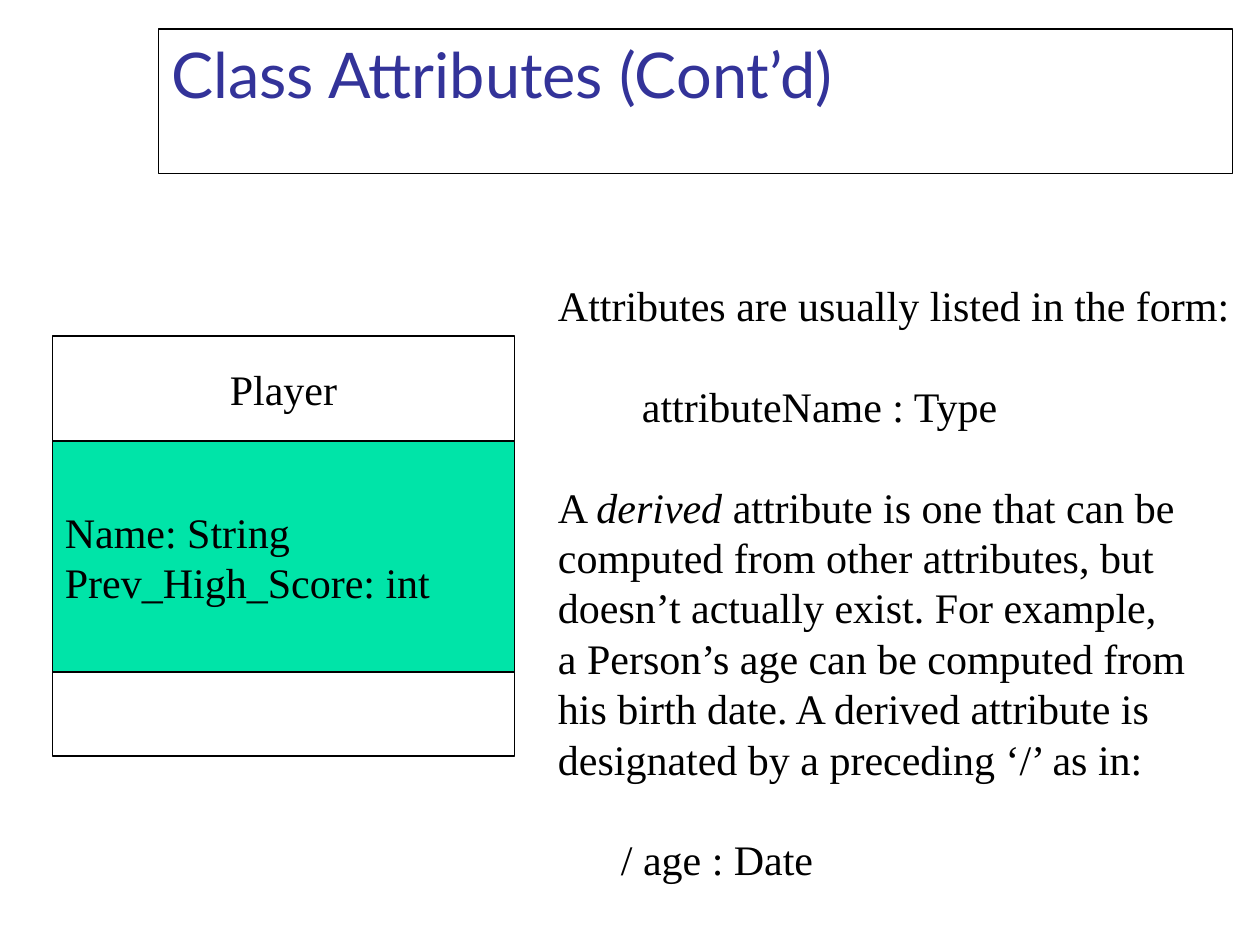
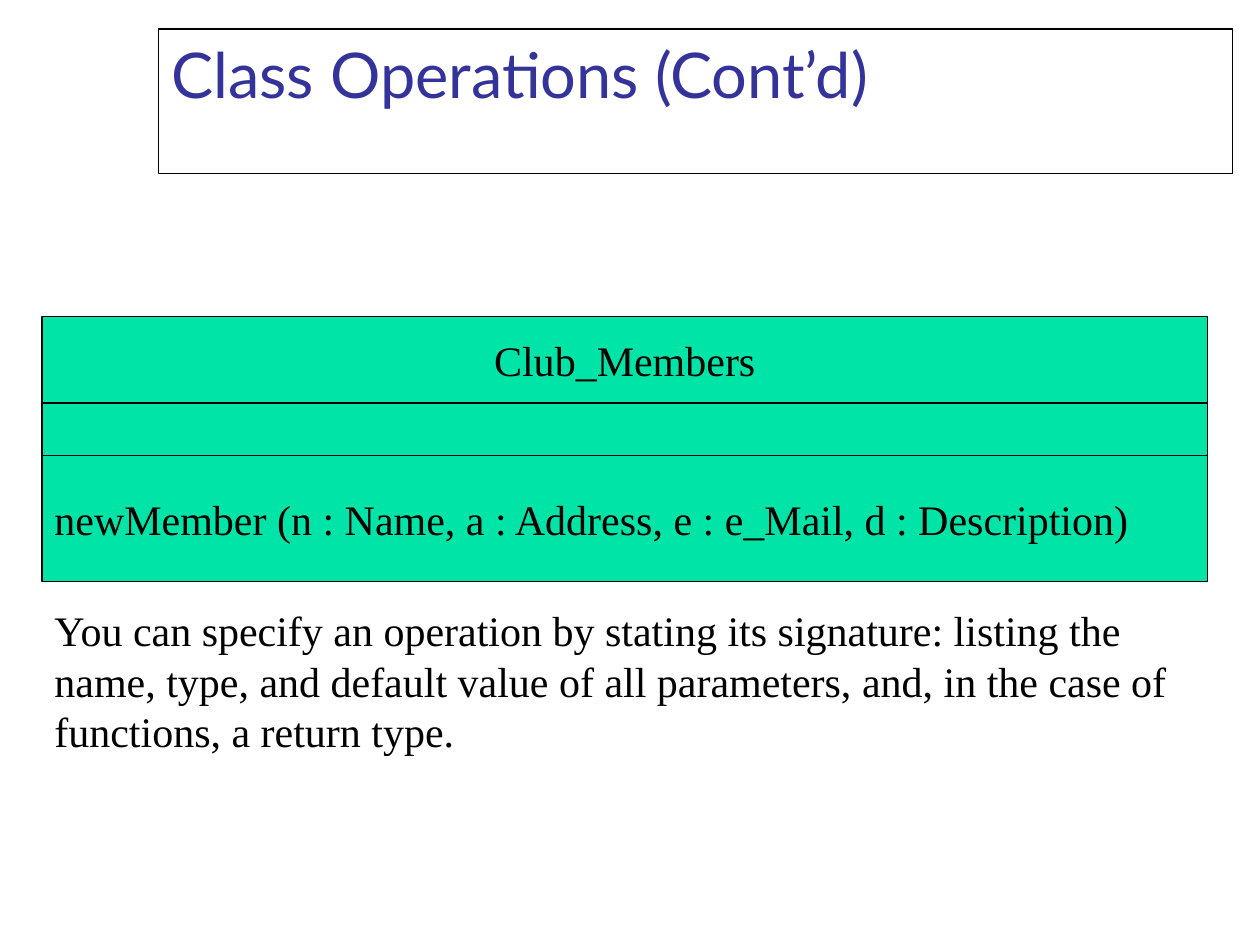
from dataclasses import dataclass

from pptx import Presentation
from pptx.dml.color import RGBColor
from pptx.enum.shapes import MSO_SHAPE as Preset
from pptx.enum.text import MSO_ANCHOR as Anchor
from pptx.enum.text import MSO_AUTO_SIZE as AutoSize
from pptx.enum.text import PP_ALIGN as Align
from pptx.util import Pt


@dataclass(frozen=True)
class Theme:
    ink: RGBColor = RGBColor(0, 0, 0)
    paper: RGBColor = RGBColor(255, 255, 255)
    accent: RGBColor = RGBColor.from_string("00E4A8")
    heading: RGBColor = RGBColor.from_string("333399")
    title_font: str = "Lato"
    body_font: str = "Times New Roman"
    title_size: float = 36
    body_size: float = 24
    line_pitch: float = 28.8
    border: float = 0.75


THEME = Theme()
TITLE_ONLY = 5


def set_font(font, name, size, color):
    font.name = name
    font.size = Pt(size)
    font.color.rgb = color


def paint(box, fill):
    box.fill.solid()
    box.fill.fore_color.rgb = fill
    box.line.color.rgb = THEME.ink
    box.line.width = Pt(THEME.border)


def format_body(para, align=Align.LEFT):
    para.alignment = align
    para.line_spacing = Pt(THEME.line_pitch)
    for span in para.runs:
        set_font(span.font, THEME.body_font, THEME.body_size, THEME.ink)


def add_page(deck, title):
    page = deck.slides.add_slide(deck.slide_layouts[TITLE_ONLY])
    box = page.shapes.title
    box.left, box.top, box.width, box.height = Pt(90.72), Pt(16.56), Pt(613.44), Pt(82.8)
    paint(box, THEME.paper)
    frame = box.text_frame
    frame.text = title
    frame.auto_size = AutoSize.NONE
    frame.vertical_anchor = Anchor.TOP
    para = frame.paragraphs[0]
    para.alignment = Align.LEFT
    set_font(para.runs[0].font, THEME.title_font, THEME.title_size, THEME.heading)
    return page


def add_class_diagram(page, left, top, width, compartments):
    for height, fill, align, text in compartments:
        box = page.shapes.add_shape(
            Preset.RECTANGLE, Pt(left), Pt(top), Pt(width), Pt(height))
        box.shadow.inherit = False
        paint(box, fill)
        if text:
            frame = box.text_frame
            frame.text = text
            frame.vertical_anchor = Anchor.MIDDLE
            for para in frame.paragraphs:
                format_body(para, align)
        top += height


def add_text(page, left, top, width, height, wrap):
    box = page.shapes.add_textbox(Pt(left), Pt(top), Pt(width), Pt(height))
    box.text_frame.word_wrap = wrap
    box.text_frame.auto_size = AutoSize.SHAPE_TO_FIT_TEXT
    return box.text_frame


def write_emphasised(para, text):
    for part_index, part in enumerate(text.split("*")):
        for line_index, line in enumerate(part.split("\n")):
            if line_index:
                para.add_line_break()
            span = para.add_run()
            span.text = line
            if part_index % 2:
                span.font.italic = True


def add_explanation(page, left, top, width, height, entries):
    frame = add_text(page, left, top, width, height, wrap=False)
    for index, (indent, text) in enumerate(entries):
        para = frame.add_paragraph() if index else frame.paragraphs[0]
        write_emphasised(para, text)
        format_body(para)
        if index:
            para.space_before = Pt(THEME.line_pitch)
        if indent:
            properties = para._p.get_or_add_pPr()
            properties.set("marL", str(Pt(indent)))
            properties.set("indent", "0")


def build_attributes(deck):
    page = add_page(deck, "Class Attributes (Cont’d)")
    add_explanation(page, 311.76, 156.24, 398.16, 352.8, [
        (0, "Attributes are usually listed in the form:"),
        (48, "attributeName : Type"),
        (0, "A *derived* attribute is one that can be\n"
            "computed from other attributes, but\n"
            "doesn’t actually exist. For example,\n"
            "a Person’s age can be computed from\n"
            "his birth date. A derived attribute is\n"
            "designated by a preceding ‘/’ as in:"),
        (36, "/ age : Date"),
    ])
    add_class_diagram(page, 30, 192, 264, [
        (60, THEME.paper, Align.CENTER, "Player"),
        (132, THEME.accent, Align.LEFT, "Name: String\nPrev_High_Score: int"),
        (48, THEME.paper, Align.LEFT, ""),
    ])


def build_operations(deck):
    page = add_page(deck, "Class Operations (Cont’d)")
    add_class_diagram(page, 24, 180.75, 666, [
        (49.5, THEME.accent, Align.CENTER, "Club_Members"),
        (30, THEME.accent, Align.LEFT, ""),
        (72, THEME.accent, Align.LEFT,
         "newMember (n : Name, a : Address, e : e_Mail, d : Description)"),
    ])
    frame = add_text(page, 24, 342, 660, 93.6, wrap=True)
    frame.text = ("You can specify an operation by stating its signature: listing the "
                  "name, type, and default value of all parameters, and, in the case of "
                  "functions, a return type.")
    format_body(frame.paragraphs[0])


def main():
    deck = Presentation()
    deck.slide_width, deck.slide_height = Pt(720), Pt(540)
    build_attributes(deck)
    build_operations(deck)
    deck.save("out.pptx")


if __name__ == "__main__":
    main()
